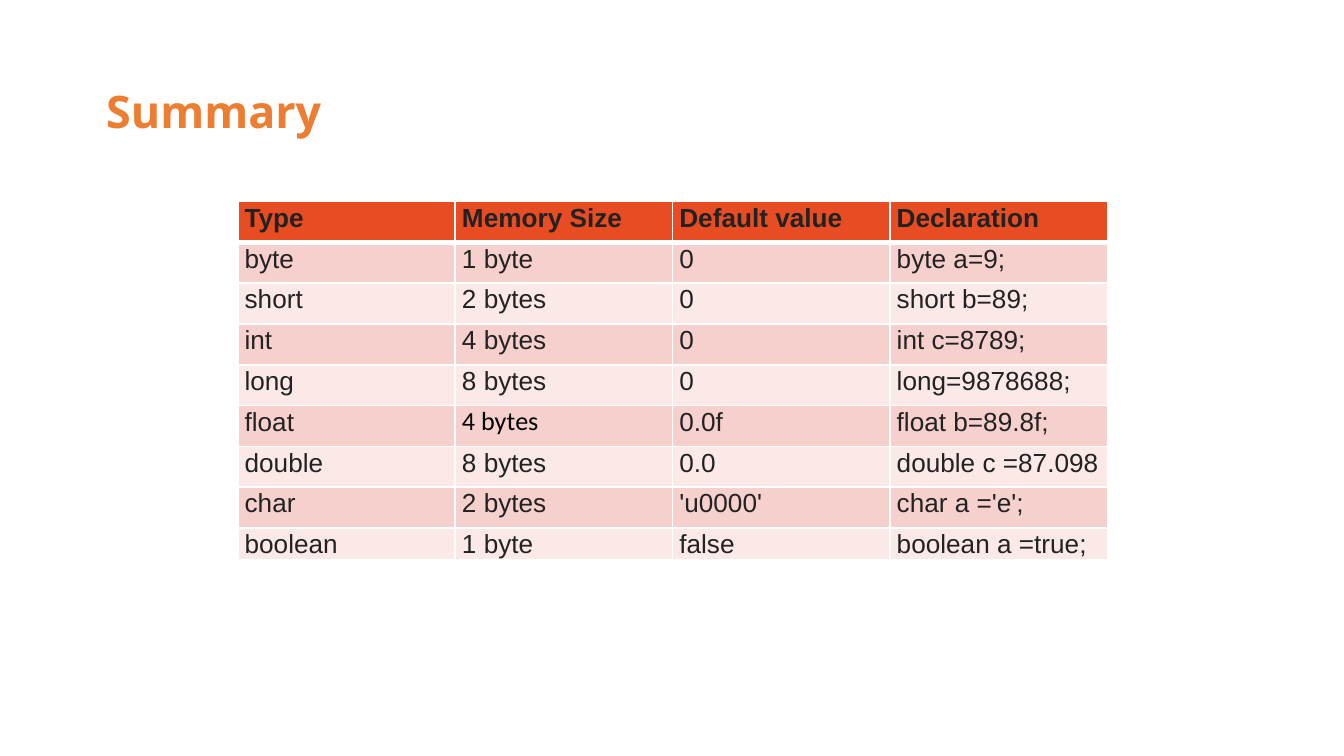
from lxml import etree
from pptx import Presentation
from pptx.dml.color import RGBColor
from pptx.enum.text import MSO_ANCHOR, PP_ALIGN
from pptx.oxml.ns import qn
from pptx.util import Inches, Pt

LEFT = PP_ALIGN.LEFT
TOP = MSO_ANCHOR.TOP
MIDDLE = MSO_ANCHOR.MIDDLE
TITLE_ONLY = 5

ORANGE = "ED7D31"
HEADER_FILL = "E84C22"
BAND_FILLS = ("F6D0CD", "FBE9E8")
TEXT = "222222"
BLACK = "000000"
WHITE = "FFFFFF"

HEADINGS = ("Type", "Memory Size", "Default value", "Declaration")
JAVA_TYPES = (
    ("byte", "1 byte", "0", "byte a=9;"),
    ("short", "2 bytes", "0", "short b=89;"),
    ("int", "4 bytes", "0", "int c=8789;"),
    ("long", "8 bytes", "0", "long=9878688;"),
    ("float", "4 bytes", "0.0f", "float b=89.8f;"),
    ("double", "8 bytes", "0.0", "double c =87.098"),
    ("char", "2 bytes", "'u0000'", "char a ='e';"),
    ("boolean", "1 byte", "false", "boolean a =true;"),
)
FLOAT_SIZE = (5, 1)  # the one cell set in Calibri

TABLE_WIDTH, TABLE_HEIGHT = 6.47, 2.67
LAST_ROW_HEIGHT = 0.24


def rgb(hex_color):
    return RGBColor.from_string(hex_color)


def style_text(paragraph, font_name, size, color, bold, spacing):
    paragraph.alignment = LEFT
    paragraph.line_spacing = spacing
    font = paragraph.font
    font.name = font_name
    font.size = Pt(size)
    font.bold = bold
    font.color.rgb = rgb(color)


def add_title(slide, text):
    title = slide.shapes.title
    title.left, title.top = Inches(0.69), Inches(0.3)
    title.width, title.height = Inches(8.62), Inches(1.09)
    frame = title.text_frame
    frame.text = text
    frame.vertical_anchor = MIDDLE
    style_text(frame.paragraphs[0], "Open Sans", 24, ORANGE, True, 0.9)


def set_borders(cell, bottom_width):
    """Draw white borders, 1 pt wide except at the bottom."""
    properties = cell._tc.get_or_add_tcPr()
    for side, width in (("L", 1), ("R", 1), ("T", 1), ("B", bottom_width)):
        line = etree.SubElement(properties, qn(f"a:ln{side}"), w=str(Pt(width)))
        fill = etree.SubElement(line, qn("a:solidFill"))
        etree.SubElement(fill, qn("a:srgbClr"), val=WHITE)


def fill_cell(cell, text, fill, font_name, color, bold):
    cell.text = text
    cell.margin_left = cell.margin_right = Inches(0.05)
    cell.margin_top = cell.margin_bottom = 0
    cell.vertical_anchor = TOP
    cell.fill.solid()
    cell.fill.fore_color.rgb = rgb(fill)
    style_text(cell.text_frame.paragraphs[0], font_name, 14, color, bold, Pt(16.8))


def add_type_table(slide):
    rows = (HEADINGS, *JAVA_TYPES)
    table = slide.shapes.add_table(
        len(rows), len(HEADINGS), Inches(1.77), Inches(1.5),
        Inches(TABLE_WIDTH), Inches(TABLE_HEIGHT)).table

    # Equal columns and rows, with a shorter last row
    for column in table.columns:
        column.width = Inches(TABLE_WIDTH / len(HEADINGS))
    for row in table.rows:
        row.height = Inches((TABLE_HEIGHT - LAST_ROW_HEIGHT) / len(JAVA_TYPES))
    table.rows[len(rows) - 1].height = Inches(LAST_ROW_HEIGHT)

    # Header row, then alternating bands
    for r, values in enumerate(rows):
        is_header = r == 0
        fill = HEADER_FILL if is_header else BAND_FILLS[(r - 1) % 2]
        for c, value in enumerate(values):
            cell = table.cell(r, c)
            set_borders(cell, 3 if is_header else 1)
            font_name, color = (
                ("Calibri", BLACK) if (r, c) == FLOAT_SIZE else ("Arial", TEXT))
            fill_cell(cell, value, fill, font_name, color, is_header)


def main():
    presentation = Presentation()
    # Widescreen, 16:9
    presentation.slide_width = Inches(10)
    presentation.slide_height = presentation.slide_width * 9 // 16
    slide = presentation.slides.add_slide(presentation.slide_layouts[TITLE_ONLY])
    add_title(slide, "Summary")
    add_type_table(slide)
    presentation.save("out.pptx")


if __name__ == "__main__":
    main()
